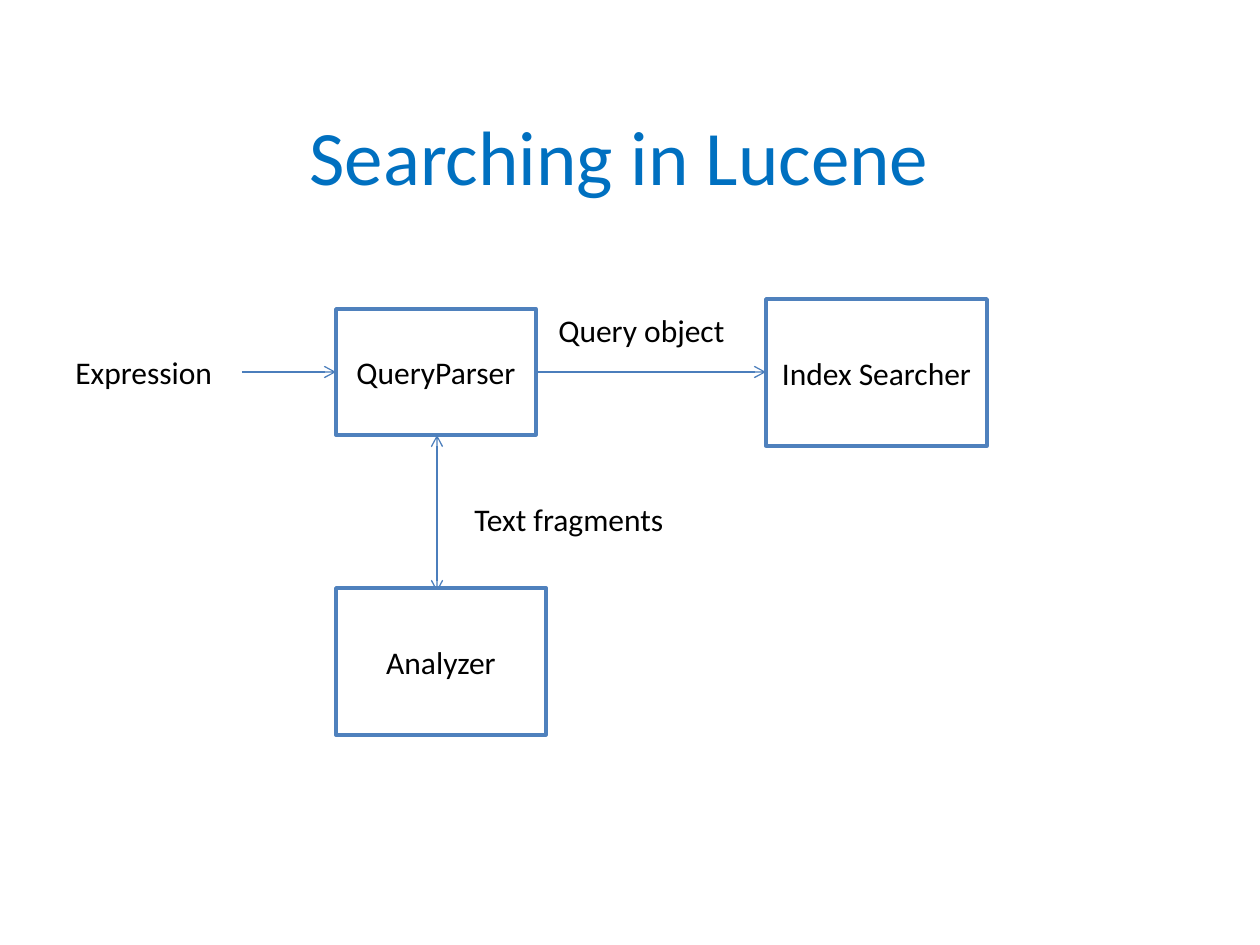
from dataclasses import dataclass

from lxml.etree import SubElement
from pptx import Presentation
from pptx.dml.color import RGBColor as RGB
from pptx.enum.shapes import MSO_CONNECTOR as LINK, MSO_SHAPE as SHAPE
from pptx.enum.text import MSO_ANCHOR as ANCHOR, MSO_AUTO_SIZE as FIT, PP_ALIGN as ALIGN
from pptx.oxml.ns import qn
from pptx.util import Emu, Pt


@dataclass(frozen=True)
class Theme:
    """Colours, type sizes and line widths."""
    font: str = "Calibri"
    title: str = "0070C0"
    ink: str = "000000"
    paper: str = "FFFFFF"
    edge: str = "4F81BD"
    arrow: str = "4B7EBC"
    head: int = 44
    body: int = 18
    thick: float = 2
    thin: float = 0.75


THEME = Theme()
SCALE = 914400 / 126


def px(*vals):
    """Turn pixels into EMU."""
    return [Emu(round(v * SCALE)) for v in vals]


def write(shape, text, size=THEME.body, color=THEME.ink, align=ALIGN.CENTER,
          anchor=ANCHOR.MIDDLE, fit=FIT.NONE):
    """Put formatted text into a shape."""
    frame = shape.text_frame
    frame.word_wrap = True
    frame.auto_size = fit
    frame.vertical_anchor = anchor
    para = frame.paragraphs[0]
    para.alignment = align
    run = para.add_run()
    run.text = text
    run.font.name = THEME.font
    run.font.size = Pt(size)
    run.font.color.rgb = RGB.from_string(color)


def stroke(line, color, width):
    """Set the colour and width of a line."""
    line.color.rgb = RGB.from_string(color)
    line.width = Pt(width)


def node(slide, text, x, y, w, h):
    """Draw an outlined box with centred text."""
    box = slide.shapes.add_shape(SHAPE.RECTANGLE, *px(x, y, w, h))
    box.shadow.inherit = False
    box.fill.solid()
    box.fill.fore_color.rgb = RGB.from_string(THEME.paper)
    stroke(box.line, THEME.edge, THEME.thick)
    write(box, text)


def label(slide, text, x, y, w, h=50):
    """Draw a plain left-aligned label."""
    box = slide.shapes.add_textbox(*px(x, y, w, h))
    write(box, text, align=ALIGN.LEFT, anchor=ANCHOR.TOP, fit=FIT.SHAPE_TO_FIT_TEXT)


def arrow(slide, x1, y1, x2, y2, ends=("tailEnd",)):
    """Draw a line with open arrowheads at the given ends."""
    link = slide.shapes.add_connector(LINK.STRAIGHT, *px(x1, y1, x2, y2))
    stroke(link.line, THEME.arrow, THEME.thin)
    for end in ends:
        SubElement(link.line._get_or_add_ln(), qn("a:" + end), type="arrow")
    SubElement(link._element.spPr, qn("a:effectLst"))


def heading(slide, text, x, y, w, h):
    """Place the slide title."""
    box = slide.shapes.add_textbox(*px(x, y, w, h))
    write(box, text, size=THEME.head, color=THEME.title)


def diagram(slide, x, y):
    """Place the search flow with its top left corner at x, y."""
    flow = y + 73
    left, top = x + 273, y + 10
    stem = left + 101
    label(slide, "Expression", x, y + 48, 179)
    node(slide, "QueryParser", left, top, 200, 126)
    arrow(slide, x + 179, flow, left, flow)
    arrow(slide, stem, top + 126, stem, top + 283, ends=("headEnd", "tailEnd"))
    node(slide, "Analyzer", left, y + 289, 210, 147)
    node(slide, "Index Searcher", x + 703, y, 221, 147)
    label(slide, "Text fragments", x + 399, y + 195, 231)
    label(slide, "Query object", x + 483, y + 6, 200)
    arrow(slide, left + 201, flow, x + 703, flow)


def main():
    """Build and save the slide."""
    deck = Presentation()
    deck.slide_width, deck.slide_height = px(1260, 945)
    slide = deck.slides.add_slide(deck.slide_layouts[6])
    heading(slide, "Searching in Lucene", 84, 53, 1071, 203)
    diagram(slide, 63, 299)
    deck.save("out.pptx")


main()
